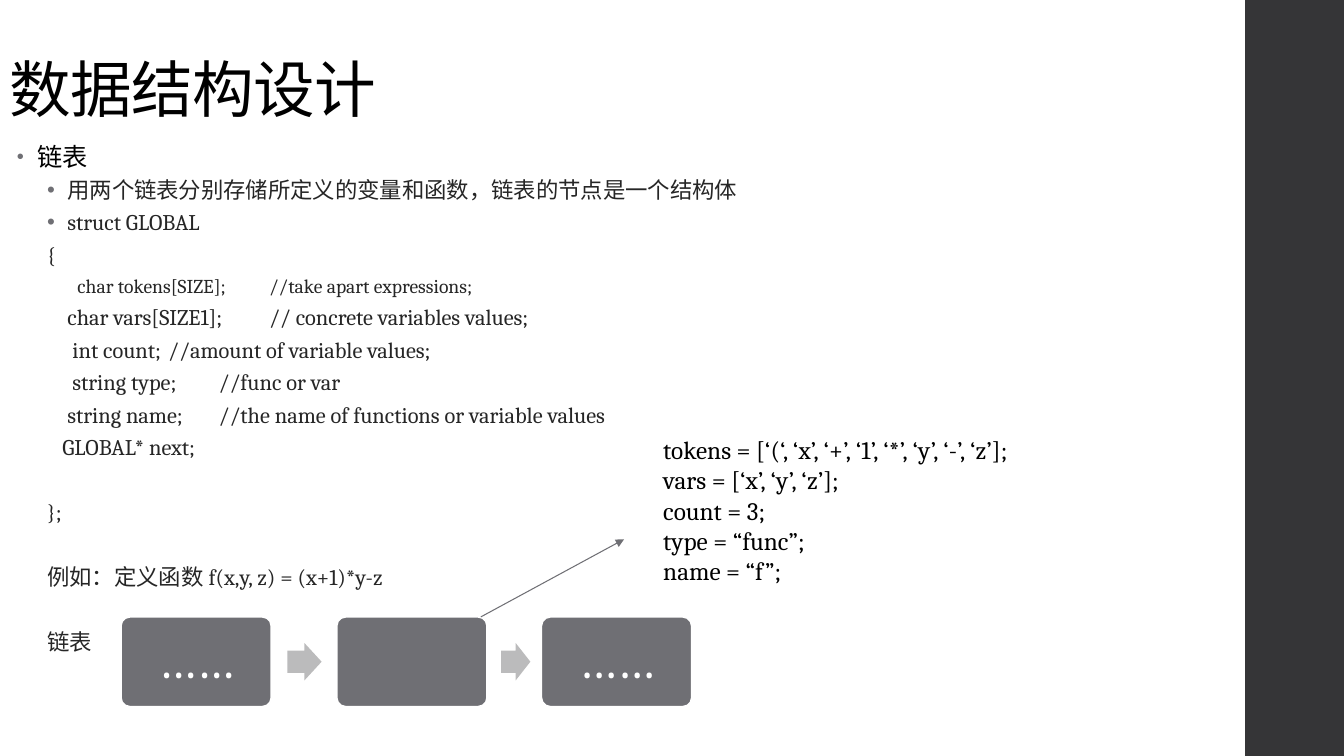
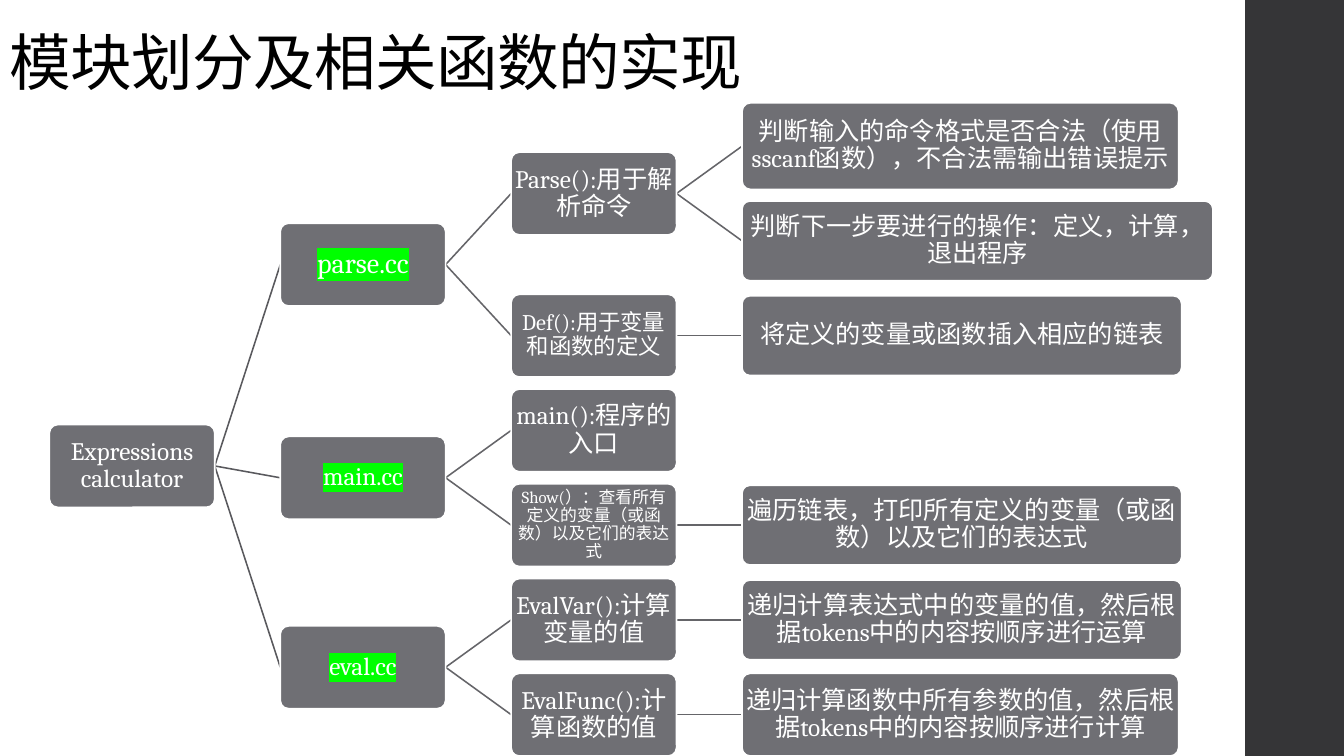
import pptx
import pptx.util
import pptx.dml.color
import pptx.enum.shapes
import pptx.enum.text
import pptx.oxml
import pptx.oxml.ns

RGB = pptx.dml.color.RGBColor
SHAPE = pptx.enum.shapes.MSO_SHAPE
ANCHOR = pptx.enum.text.MSO_ANCHOR
ALIGN = pptx.enum.text.PP_ALIGN
Inches = pptx.util.Inches
Pt = pptx.util.Pt

WHITE = RGB(0xFF, 0xFF, 0xFF)
BLACK = RGB(0, 0, 0)
INK = RGB(0x26, 0x26, 0x26)
BAND = RGB(0x35, 0x35, 0x37)
GRAY = RGB(0x6F, 0x6F, 0x74)
ARROW = RGB(0xBB, 0xBB, 0xBC)
TRUNK = RGB(0x59, 0x59, 0x5D)
BRANCH = RGB(0x65, 0x65, 0x69)
GREEN = RGB(0, 0xFF, 0)
FONT = "Cambria"
WIDTH, HEIGHT = 13.33, 7.5

BULLETS = [
    ("链表", 18, BLACK, 0.2, 80),
    ("用两个链表分别存储所定义的变量和函数，链表的节点是一个结构体", 16, INK, 0.5, 100),
    ("struct GLOBAL", 16, INK, 0.5, 100),
]
CODE = [
    ("{", "", 16, 0.3, 0, 3),
    ("char tokens[SIZE];", "//take apart expressions;", 14, 0.6, 2.34, 3),
    ("char vars[SIZE1];", "// concrete variables values;", 16, 0.5, 2.19, 3),
    ("int count;", "//amount of variable values;", 16, 0.55, 1.92, 3),
    ("string type;", "//func or var", 16, 0.55, 2.31, 3),
    ("string name;", "//the name of functions or variable values", 16, 0.5, 1.85, 3),
    ("GLOBAL* next;", "", 16, 0.45, 0, 3),
    ("};", "", 16, 0.3, 0, 26),
    ("例如：定义函数 f(x,y, z) = (x+1)*y-z", "", 16, 0.3, 0, 26),
    ("链表", "", 16, 0.3, 0, 26),
]
NODE_VALUES = [
    "tokens = [‘(‘, ‘x’, ‘+’, ‘1’, ‘*’, ‘y’, ‘-’, ‘z’];",
    "vars = [‘x’, ‘y’, ‘z’];",
    "count = 3;",
    "type = “func”;",
    "name = “f”;",
]
LIST_NODES = [(1.2, "……"), (3.34, ""), (5.37, "……")]
LIST_ARROWS = [(2.85, 0.34), (4.97, 0.29)]


def node(text, children=(), size=18, box=(1.64, 0.82), mark=False):
    return dict(text=text, children=children, size=size, box=box, mark=mark)


TREE = node("Expressions calculator", [
    node("parse.cc", [
        node("Parse():用于解析命令", [
            node("判断输入的命令格式是否合法（使用sscanf函数），不合法需输出错误提示", box=(4.33, 0.86)),
            node("判断下一步要进行的操作：定义，计算，退出程序", box=(4.67, 0.79)),
        ]),
        node("Def():用于变量和函数的定义", [
            node("将定义的变量或函数插入相应的链表", box=(4.36, 0.79)),
        ], size=16),
    ], size=20, mark=True),
    node("main.cc", [
        node("main():程序的入口"),
        node("Show(）：查看所有定义的变量（或函数）以及它们的表达式", [
            node("遍历链表，打印所有定义的变量（或函数）以及它们的表达式", box=(4.36, 0.79)),
        ], size=12),
    ], mark=True),
    node("eval.cc", [
        node("EvalVar():计算变量的值", [
            node("递归计算表达式中的变量的值，然后根据tokens中的内容按顺序进行运算", box=(4.36, 0.79)),
        ]),
        node("EvalFunc():计算函数的值", [
            node("递归计算函数中所有参数的值，然后根据tokens中的内容按顺序进行计算", box=(4.33, 0.82)),
        ]),
    ], mark=True),
])
TREE_LEFT, COLUMN_STEP = 0.49, 2.29
FIRST_ROW, ROW_STEP = 1.45, 0.94


def add_xml(parent, tag, **attrs):
    e = pptx.oxml.parse_xml(f"<a:{tag} {pptx.oxml.ns.nsdecls('a')}/>")
    for key, value in attrs.items():
        e.set(key, str(value))
    parent.append(e)
    return e


def add_run(p, text, size, color, spacing=0, highlight=None):
    r = p.add_run()
    r.text = text
    r.font.size = Pt(size)
    r.font.color.rgb = color
    r.font.name = FONT
    rPr = r.font._element
    if spacing:
        rPr.set("spc", str(spacing))
    if highlight:
        e = add_xml(rPr, "highlight")
        add_xml(e, "srgbClr", val=highlight)
        rPr.find(pptx.oxml.ns.qn("a:solidFill")).addnext(e)


def add_text_box(s, x, y, w, h, anchor=ANCHOR.TOP):
    tf = s.shapes.add_textbox(Inches(x), Inches(y), Inches(w), Inches(h)).text_frame
    tf.word_wrap = True
    tf.vertical_anchor = anchor
    return tf


def next_paragraph(tf, line=1.0, before=0, after=0):
    p = tf.paragraphs[0]
    if p.runs:
        p = tf.add_paragraph()
    p.line_spacing = line
    p.space_before, p.space_after = Pt(before), Pt(after)
    return p


def set_indent(p, margin, first):
    pPr = p._p.get_or_add_pPr()
    pPr.set("marL", str(Inches(margin)))
    pPr.set("indent", str(Inches(first)))
    return pPr


def add_block(s, kind, x, y, w, h, fill, outline=None):
    sp = s.shapes.add_shape(kind, Inches(x), Inches(y), Inches(w), Inches(h))
    sp.shadow.inherit = False
    sp.fill.solid()
    sp.fill.fore_color.rgb = fill
    if outline:
        sp.line.color.rgb = outline
        sp.line.width = Pt(1.1)
    else:
        sp.line.fill.background()
    return sp


def add_box(s, x, y, w, h, text, size, inset, highlight=None):
    sp = add_block(s, SHAPE.ROUNDED_RECTANGLE, x, y, w, h, GRAY, WHITE)
    sp.adjustments[0] = 0.1
    if text:
        tf = sp.text_frame
        tf.word_wrap = True
        tf.vertical_anchor = ANCHOR.MIDDLE
        tf.margin_left = tf.margin_right = tf.margin_top = tf.margin_bottom = Inches(inset)
        p = next_paragraph(tf, 0.9)
        p.alignment = ALIGN.CENTER
        add_run(p, text, size, WHITE, highlight=highlight)


def add_line(s, x1, y1, x2, y2, color, width, arrow=False):
    c = s.shapes.add_connector(pptx.enum.shapes.MSO_CONNECTOR.STRAIGHT,
                               Inches(x1), Inches(y1), Inches(x2), Inches(y2))
    c.line.color.rgb = color
    c.line.width = Pt(width)
    if arrow:
        add_xml(c.line._get_or_add_ln(), "tailEnd", type="triangle")
    add_xml(c._element.spPr, "effectLst")


def add_slide(prs, title, x, y, w, h):
    s = prs.slides.add_slide(prs.slide_layouts[6])
    add_block(s, SHAPE.RECTANGLE, 12.35, 0, WIDTH - 12.35, HEIGHT, BAND)
    p = next_paragraph(add_text_box(s, x, y, w, h, ANCHOR.BOTTOM), 0.9)
    add_run(p, title, 44, BLACK, -50)
    return s


def add_struct_text(s):
    tf = add_text_box(s, 0.07, 1.37, 11.5, 5.76)
    for text, size, color, margin, bullet_size in BULLETS:
        top = size == 18
        p = next_paragraph(tf, 0.95 if top else 0.9, 14 if top else 3, 2 if top else 3)
        pPr = set_indent(p, margin, -0.2)
        add_xml(add_xml(pPr, "buClr"), "srgbClr", val=GRAY)
        add_xml(pPr, "buSzPct", val=bullet_size * 1000)
        add_xml(pPr, "buFont", typeface="Arial")
        add_xml(pPr, "buChar", char="•")
        add_run(p, text, size, color, 10 if top else 0)
    for code, comment, size, indent, tab, before in CODE:
        p = next_paragraph(tf, 0.9, before, 3)
        pPr = set_indent(p, 0, indent)
        add_xml(pPr, "buNone")
        if comment:
            add_xml(add_xml(pPr, "tabLst"), "tab", pos=Inches(tab), algn="l")
            code = f"{code}\t{comment}"
        add_run(p, code, size, INK)


def add_linked_list(s):
    for x, text in LIST_NODES:
        add_box(s, x, 6.12, 1.49, 0.89, text, 36, 0.15)
    for x, w in LIST_ARROWS:
        sp = add_block(s, SHAPE.RIGHT_ARROW, x, 6.38, w, 0.37, ARROW)
        sp.adjustments[0] = 0.6
    tf = add_text_box(s, 6.48, 4.26, 4.66, 1.92)
    for text in NODE_VALUES:
        add_run(next_paragraph(tf), text, 18, BLACK)
    add_line(s, 4.77, 6.12, 6.19, 5.35, GRAY, 0.75, arrow=True)


def place(item, depth=0, row=0):
    item["x"] = TREE_LEFT + depth * COLUMN_STEP
    start = row
    for child in item["children"]:
        row = place(child, depth + 1, row)
    if item["children"]:
        item["mid"] = (item["children"][0]["mid"] + item["children"][-1]["mid"]) / 2
        return row
    item["mid"] = FIRST_ROW + start * ROW_STEP
    return start + 1


def draw(s, item, color=TRUNK):
    w, h = item["box"]
    for child in item["children"]:
        add_line(s, item["x"] + w, item["mid"], child["x"], child["mid"], color, 1.1)
        draw(s, child, BRANCH)
    add_box(s, item["x"], item["mid"] - h / 2, w, h, item["text"], item["size"], 0.01,
            GREEN if item["mark"] else None)


def main():
    prs = pptx.Presentation()
    prs.slide_width, prs.slide_height = Inches(WIDTH), Inches(HEIGHT)
    s = add_slide(prs, "数据结构设计", 0, 0.11, 10.6, 1.19)
    add_struct_text(s)
    add_linked_list(s)
    s = add_slide(prs, "模块划分及相关函数的实现", 0, 0, 9.69, 1.03)
    place(TREE)
    draw(s, TREE)
    prs.save("out.pptx")


if __name__ == "__main__":
    main()
